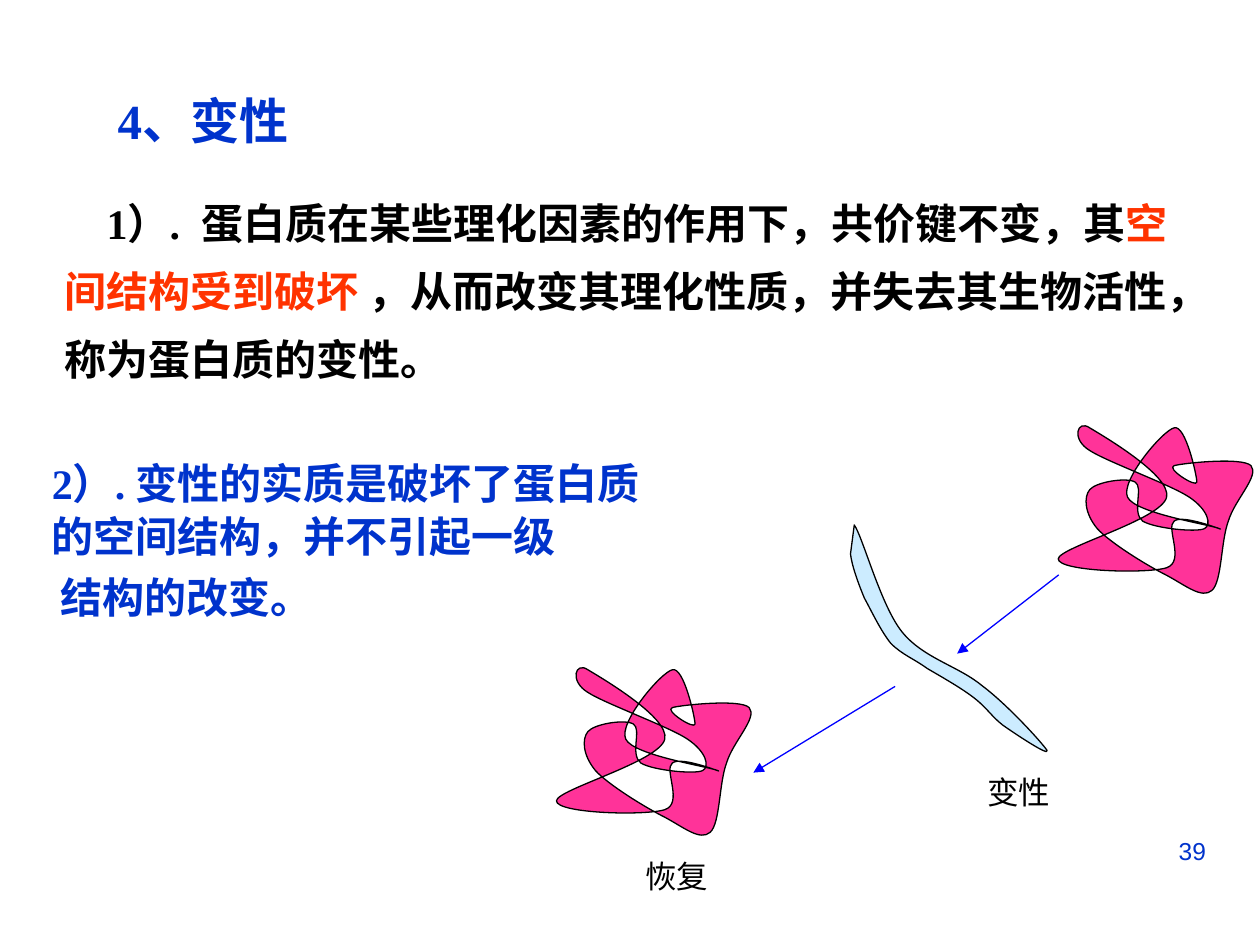
from lxml import etree
from pptx import Presentation
from pptx.dml.color import RGBColor
from pptx.enum import shapes, text
from pptx.oxml.ns import qn
from pptx.util import Pt

BLUE = RGBColor(0x00, 0x33, 0xCC)
BLACK = RGBColor(0x00, 0x00, 0x00)
RED = RGBColor(0xFF, 0x33, 0x00)
PINK = RGBColor(0xFF, 0x33, 0x99)
PALE_BLUE = RGBColor(0xCC, 0xEC, 0xFF)
ARROW_BLUE = RGBColor(0x00, 0x00, 0xFF)
SERIF, SANS, CJK = "Times New Roman", "Arial", "Noto Sans CJK SC"

# Outlines in hundredths of an inch: a start, then three points per curve
FOLDED = [
    (25, 7),
    (35, 13), (90, 45), (86, 62), (82, 80), (0, 102), (0, 111),
    (0, 121), (70, 123), (86, 118), (101, 113), (85, 86), (92, 81),
    (99, 75), (135, 90), (128, 87), (122, 84), (61, 75), (55, 62),
    (49, 49), (83, 9), (92, 7), (101, 4), (110, 45), (110, 50),
    (110, 55), (85, 39), (92, 37), (99, 35), (146, 30), (153, 37),
    (160, 45), (140, 64), (135, 81), (129, 97), (130, 129), (122, 136),
    (114, 143), (101, 132), (86, 124), (70, 116), (41, 98), (31, 87),
    (21, 75), (20, 62), (25, 56), (30, 50), (54, 46), (61, 50),
    (68, 54), (58, 74), (67, 81), (77, 87), (110, 90), (116, 87),
    (122, 84), (119, 72), (104, 62), (89, 52), (39, 34), (25, 25),
    (10, 16), (15, 0), (25, 7),
]
UNFOLDED = [
    (0, 23),
    (1, 32), (6, 46), (11, 58), (17, 69), (24, 84), (32, 94),
    (41, 103), (50, 106), (61, 114), (73, 121), (89, 130), (99, 138),
    (109, 146), (112, 152), (121, 159), (131, 166), (158, 184), (156, 179),
    (153, 174), (125, 143), (105, 128), (86, 112), (58, 106), (41, 85),
    (24, 64), (10, 10), (3, 0),
]


def write(p, words, size=24, color=BLUE, font=SERIF, bold=False):
    r = p.add_run()
    r.text = words
    r.font.size, r.font.bold, r.font.name = Pt(size), bold, font
    r.font.color.rgb = color
    etree.SubElement(r._r.get_or_add_rPr(), qn("a:ea")).set("typeface", CJK)


def frame(sp, left, top, width, height, wrap=True, anchor=text.MSO_ANCHOR.TOP):
    sp.left, sp.top, sp.width, sp.height = Pt(left), Pt(top), Pt(width), Pt(height)
    tf = sp.text_frame
    tf.auto_size = text.MSO_AUTO_SIZE.NONE
    tf.word_wrap, tf.vertical_anchor = wrap, anchor
    return tf


prs = Presentation()
prs.slide_width, prs.slide_height = Pt(720), Pt(540)
slide = prs.slides.add_slide(prs.slide_layouts[1])

# Title
p = frame(slide.shapes.title, 60, 48, 120, 41).paragraphs[0]
p.alignment = text.PP_ALIGN.JUSTIFY
write(p, "4、变性", size=28, bold=True)

# Definition
tf = frame(slide.placeholders[1], 29.75, 99, 648, 124, anchor=text.MSO_ANCHOR.MIDDLE)
p = tf.paragraphs[0]
pPr = p._p.get_or_add_pPr()
pPr.set("marL", "0")
pPr.set("indent", str(Pt(24)))
etree.SubElement(pPr, qn("a:buNone"))
p.line_spacing, p.space_before = 1.35, Pt(0)
for words, color in [
    ("1）.  蛋白质在某些理化因素的作用下，共价键不变，其", BLACK),
    ("空间结构受到破坏", RED),
    (" ，从而改变其理化性质，并失去其生物活性，称为蛋白质的变性。", BLACK),
]:
    write(p, words, color=color, bold=True)

# Nature of denaturation
box = slide.shapes.add_textbox(0, 0, 0, 0)
tf = frame(box, 22.5, 257.5, 367, 101.5, wrap=False, anchor=text.MSO_ANCHOR.MIDDLE)
for i, (words, before, indent) in enumerate([
    ("2）. 变性的实质是破坏了蛋白质", 0, 0),
    ("的空间结构，并不引起一级", 1.5, 0),
    ("结构的改变。", 6, 5),
]):
    p = tf.add_paragraph() if i else tf.paragraphs[0]
    p._p.get_or_add_pPr().set("marL", str(Pt(indent)))
    p.space_before = Pt(before)
    write(p, words, bold=True)

# Protein chains: folded, unfolded, refolded
for points, left, top, color in [
    (FOLDED, 604.75, 239.5, PINK),
    (UNFOLDED, 486, 300, PALE_BLUE),
    (FOLDED, 318, 377.75, PINK),
]:
    builder = slide.shapes.build_freeform(*points[0], scale=Pt(0.72))
    builder.add_line_segments(points[1:], close=True)
    sp = builder.convert_to_shape(Pt(left), Pt(top))
    sp.shadow.inherit = False
    sp.fill.solid()
    sp.fill.fore_color.rgb = color
    sp.line.color.rgb, sp.line.width = BLACK, Pt(0.75)
    # Turn every three straight segments into one Bezier curve
    segments = list(sp._element.iter(qn("a:lnTo")))
    for i in range(0, len(segments), 3):
        curve = etree.Element(qn("a:cubicBezTo"))
        segments[i].addprevious(curve)
        for segment in segments[i:i + 3]:
            curve.append(segment[0])
            segment.getparent().remove(segment)

# Arrows
for ends in [(605, 328.5, 547, 373.5), (511.5, 392.25, 430.5, 441.5)]:
    line = slide.shapes.add_connector(shapes.MSO_CONNECTOR.STRAIGHT, *map(Pt, ends))
    line.line.color.rgb, line.line.width = ARROW_BLUE, Pt(0.75)
    etree.SubElement(line.line._get_or_add_ln(), qn("a:tailEnd"), type="triangle")
    etree.SubElement(line._element.spPr, qn("a:effectLst"))

# Labels and slide number
for words, left, top, width, height, size, color, font, align in [
    ("变性", 557, 438, 50, 26, 18, BLACK, CJK, text.PP_ALIGN.LEFT),
    ("恢复", 361.75, 486, 54, 26, 18, BLACK, CJK, text.PP_ALIGN.LEFT),
    ("39", 516.25, 474, 180, 37, 14, BLUE, SANS, text.PP_ALIGN.RIGHT),
]:
    box = slide.shapes.add_textbox(0, 0, 0, 0)
    p = frame(box, left, top, width, height, wrap=words == "39").paragraphs[0]
    p.alignment = align
    write(p, words, size=size, color=color, font=font)

prs.save("out.pptx")
